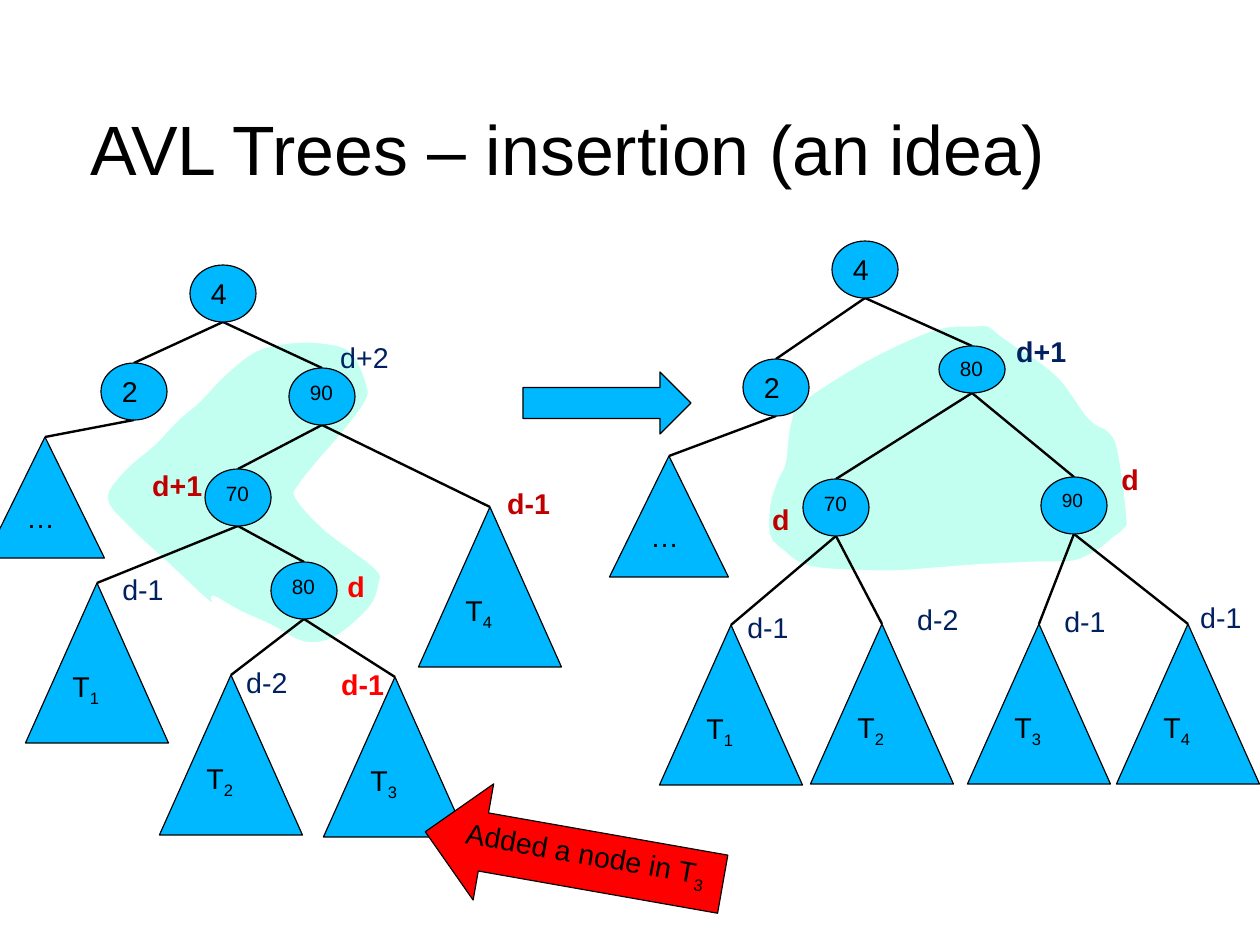
import dataclasses
import typing

import lxml.etree
import pptx
import pptx.dml.color
import pptx.enum.shapes
import pptx.enum.text
import pptx.oxml.ns
import pptx.util

SCALE = 8000
FONT = "Arial"
COLORS = {"black": "000000", "white": "FFFFFF", "blue": "00B8FF", "mint": "C2FFF0",
          "navy": "002060", "crimson": "C00000", "red": "FF0000"}
SHAPES = pptx.enum.shapes.MSO_SHAPE
Point = tuple[int, int]


@dataclasses.dataclass(frozen=True)
class Node:
    """A tree node or subtree, placed by its top centre."""
    center: int
    top: int
    text: str
    points: int = 18
    width: int = 66
    height: int = 57
    shape: typing.Any = SHAPES.OVAL
    subscript: str = ""
    children: tuple["Node", ...] = ()


@dataclasses.dataclass(frozen=True)
class Label:
    """A height label beside a node."""
    left: int
    top: int
    text: str
    color: str = "navy"
    bold: bool = False


def subtree(center: int, top: int, number: str) -> Node:
    """Describe a numbered subtree triangle."""
    return Node(center, top, "T", 18, 143, 160, SHAPES.ISOSCELES_TRIANGLE, number)


def omitted(center: int, top: int) -> Node:
    """Describe the small triangle for the omitted part of a tree."""
    return Node(center, top, "…", 18, 119, 121, SHAPES.ISOSCELES_TRIANGLE)


BEFORE = Node(223, 265, "4", children=(
    Node(134, 363, "2", children=(omitted(45, 437),)),
    Node(322, 368, "90", 13, children=(
        Node(238, 469, "70", 13, children=(
            subtree(97, 583, "1"),
            Node(304, 562, "80", 13, children=(
                subtree(231, 675, "2"), subtree(395, 677, "3"))))),
        subtree(490, 507, "4")))))

AFTER = Node(865, 241, "4", children=(
    Node(776, 359, "2", children=(omitted(669, 456),)),
    Node(972, 346, "80", 13, height=47, children=(
        Node(836, 479, "70", 13, children=(
            subtree(731, 625, "1"), subtree(882, 624, "2"))),
        Node(1074, 477, "90", 12, children=(
            subtree(1039, 624, "3"), subtree(1188, 624, "4")))))))

LABELS = [
    Label(141, 465, "d+1", "crimson", True), Label(329, 337, "d+2"),
    Label(1005, 331, "d+1", "navy", True), Label(336, 566, "d", "red", True),
    Label(496, 483, "d-1", "crimson", True), Label(1189, 597, "d-1"),
    Label(1110, 459, "d", "crimson", True), Label(761, 499, "d", "crimson", True),
    Label(330, 664, "d-1", "red", True), Label(235, 662, "d-2"),
    Label(111, 569, "d-1"), Label(1053, 601, "d-1"),
    Label(906, 599, "d-2"), Label(736, 607, "d-1"),
]

BEFORE_REGION = [
    (210, 602), (169, 564), (128, 526), (107, 498), (125, 470), (154, 445), (179, 419),
    (199, 402), (226, 374), (256, 351), (289, 343), (322, 343), (351, 352), (367, 385),
    (365, 402), (343, 432), (317, 462), (299, 485), (296, 498), (325, 530), (375, 568),
    (379, 584), (369, 608), (335, 637), (304, 642), (271, 625), (240, 611), (213, 596)]

AFTER_REGION = [
    (802, 402), (866, 361), (934, 330), (974, 326), (988, 326), (1000, 335), (1017, 347),
    (1040, 362), (1060, 379), (1073, 396), (1086, 415), (1097, 425), (1108, 431),
    (1118, 450), (1127, 517), (1124, 529), (1113, 538), (1098, 550), (1074, 561),
    (1038, 562), (976, 565), (936, 568), (890, 571), (829, 569), (802, 564), (785, 552),
    (770, 536), (770, 504), (778, 479), (785, 464), (788, 440), (791, 422)]


def px(value: float) -> int:
    """Turn pixels into EMU."""
    return round(value * SCALE)


def rgb(name: str) -> pptx.dml.color.RGBColor:
    """Look up a named colour."""
    return pptx.dml.color.RGBColor.from_string(COLORS[name])


def paint(shape: typing.Any, fill: str, line: str = "black") -> None:
    """Give a shape a flat fill and a thin outline."""
    shape.shadow.inherit = False
    shape.fill.solid()
    shape.fill.fore_color.rgb = rgb(fill)
    shape.line.color.rgb = rgb(line)
    shape.line.width = pptx.util.Pt(0.75)


def write(shape: typing.Any, text: str, points: int = 18, color: str = "black",
          bold: bool = False, subscript: str = "") -> None:
    """Write left-aligned text from the top, with an optional subscript."""
    frame = shape.text_frame
    frame.word_wrap = True
    frame.vertical_anchor = pptx.enum.text.MSO_ANCHOR.TOP
    para = frame.paragraphs[0]
    para.alignment = pptx.enum.text.PP_ALIGN.LEFT
    para.line_spacing = 0.93
    for part in filter(None, (text, subscript)):
        span = para.add_run()
        span.text = part
        span.font.name = FONT
        span.font.size = pptx.util.Pt(points)
        span.font.bold = bold
        span.font.color.rgb = rgb(color)
    if subscript:
        span._r.get_or_add_rPr().set("baseline", "-25000")


def add_region(page: typing.Any, corners: list[Point], steps: int = 4) -> None:
    """Draw a smooth closed region through its corners."""
    curve = []
    for index, start in enumerate(corners):
        before = corners[index - 1]
        end, after = (corners[(index + ahead) % len(corners)] for ahead in (1, 2))
        for step in range(steps):
            t = step / steps
            curve.append(tuple(px(0.5 * (
                2 * b + (c - a) * t + (2 * a - 5 * b + 4 * c - d) * t ** 2
                + (3 * b - a - 3 * c + d) * t ** 3))
                for a, b, c, d in zip(before, start, end, after)))
    builder = page.shapes.build_freeform(*curve[0])
    builder.add_line_segments(curve[1:], close=True)
    paint(builder.convert_to_shape(), "mint", "white")


def add_edge(page: typing.Any, parent: Node, child: Node) -> None:
    """Join the bottom of a parent to the top of its child."""
    edge = page.shapes.add_connector(
        pptx.enum.shapes.MSO_CONNECTOR.STRAIGHT, px(parent.center),
        px(parent.top + parent.height), px(child.center), px(child.top))
    edge.line.color.rgb = rgb("black")
    edge.line.width = pptx.util.Pt(1.5)
    lxml.etree.SubElement(edge.element.spPr, pptx.oxml.ns.qn("a:effectLst"))


def add_tree(page: typing.Any, node: Node) -> None:
    """Draw a node with everything below it."""
    for child in node.children:
        add_edge(page, node, child)
        add_tree(page, child)
    box = page.shapes.add_shape(node.shape, px(node.center - node.width / 2),
                                px(node.top), px(node.width), px(node.height))
    paint(box, "blue")
    write(box, node.text, node.points, subscript=node.subscript)


def add_label(page: typing.Any, label: Label) -> None:
    """Draw a height label."""
    box = page.shapes.add_textbox(px(label.left), px(label.top), px(78), px(43))
    write(box, label.text, color=label.color, bold=label.bold)


def add_title(page: typing.Any, text: str) -> None:
    """Fill and place the title placeholder."""
    title = page.shapes.title
    title.left, title.top, title.width, title.height = map(px, (90, 71, 1057, 157))
    write(title, text, 44)
    frame = title.text_frame
    frame.auto_size = pptx.enum.text.MSO_AUTO_SIZE.NONE
    frame.vertical_anchor = pptx.enum.text.MSO_ANCHOR.MIDDLE
    frame.margin_left = frame.margin_right = frame.margin_bottom = 0
    frame.margin_top = px(5)


def add_arrow(page: typing.Any, shape: typing.Any, bounds: tuple[int, int, int, int],
              fill: str) -> typing.Any:
    """Draw a block arrow."""
    arrow = page.shapes.add_shape(shape, *map(px, bounds))
    paint(arrow, fill)
    return arrow


deck = pptx.Presentation()
deck.slide_width, deck.slide_height = px(1260), px(945)
page = deck.slides.add_slide(deck.slide_layouts[5])
add_title(page, "AVL Trees – insertion (an idea)")
for region, tree in ((BEFORE_REGION, BEFORE), (AFTER_REGION, AFTER)):
    add_region(page, region)
    add_tree(page, tree)
add_arrow(page, SHAPES.RIGHT_ARROW, (523, 372, 168, 62), "blue")
note = add_arrow(page, SHAPES.LEFT_ARROW, (423, 799, 302, 118), "red")
note.rotation = 10
write(note, "Added a node in T", subscript="3")
for label in LABELS:
    add_label(page, label)
deck.save("out.pptx")
